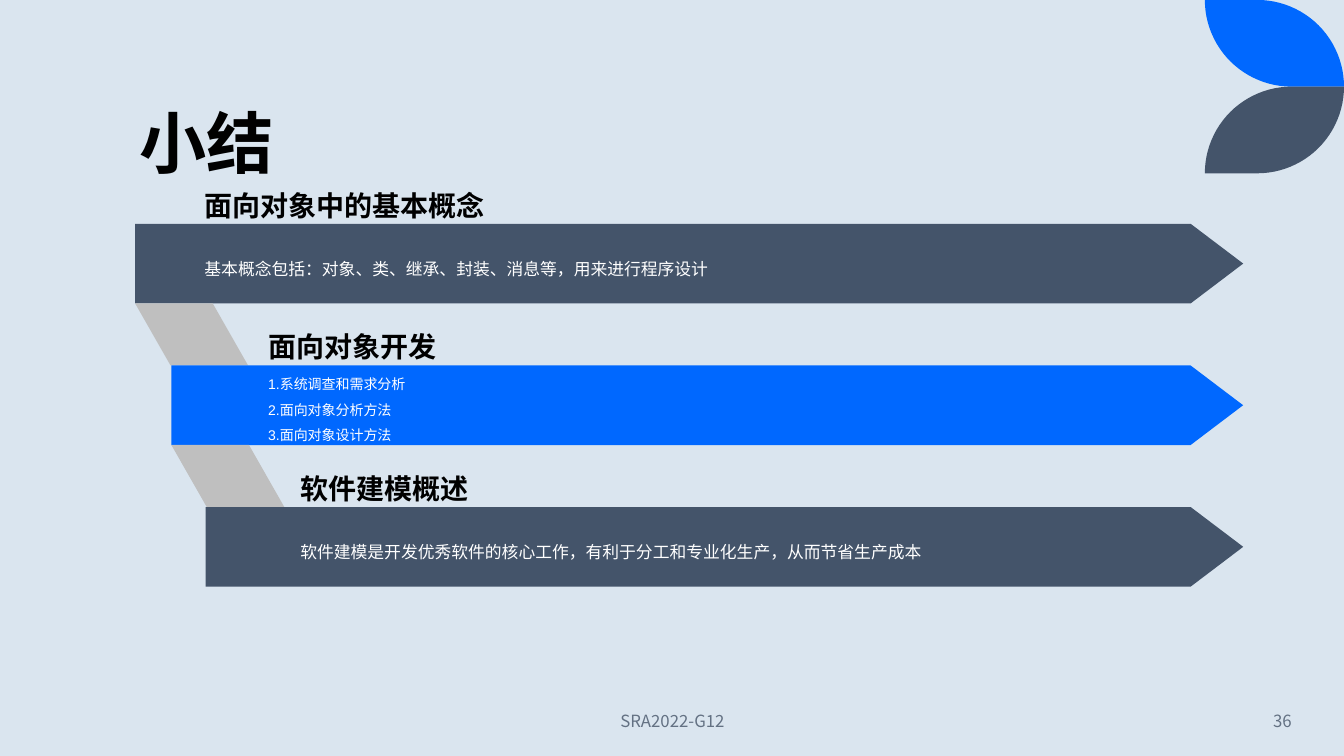
from math import cos, pi, sin
from lxml.etree import SubElement
from pptx import Presentation
from pptx.dml.color import RGBColor
from pptx.enum.shapes import MSO_SHAPE
from pptx.enum.text import MSO_ANCHOR, MSO_AUTO_SIZE, PP_ALIGN
from pptx.oxml.ns import qn
from pptx.util import Inches, Pt

THEME = {
    "background": "DAE5EF", "blue": "0068FF", "slate": "44546A",
    "gray": "BFBFBF", "black": "000000", "white": "FFFFFF", "muted": "637183",
    "latin": "Arial", "chinese": "Noto Sans CJK SC",
    "title": 48, "heading": 20, "text": 12, "list": 10,
}


def write_text(shape, box, lines, size, color, font="latin", bold=False,
               align=PP_ALIGN.LEFT, anchor=MSO_ANCHOR.MIDDLE, spacing=1.0, wrap=True):
    shape.left, shape.top, shape.width, shape.height = map(Inches, box)
    frame = shape.text_frame
    frame.text = "\n".join(lines)
    frame.auto_size = MSO_AUTO_SIZE.NONE
    frame.word_wrap = wrap
    frame.vertical_anchor = anchor
    for paragraph in frame.paragraphs:
        paragraph.alignment = align
        paragraph.line_spacing = spacing
        paragraph.space_before = Pt(0)
        paragraph.font.size = Pt(THEME[size])
        paragraph.font.bold = bold
        paragraph.font.color.rgb = RGBColor.from_string(THEME[color])
        paragraph.font.name = THEME[font]
        defaults = paragraph._p.get_or_add_pPr().find(qn("a:defRPr"))
        SubElement(defaults, qn("a:ea"), typeface=THEME["chinese"])


def paint(shape, color):
    shape.shadow.inherit = False
    shape.fill.solid()
    shape.fill.fore_color.rgb = RGBColor.from_string(THEME[color])
    shape.line.fill.background()


presentation = Presentation()
presentation.slide_width = Inches(13.33)
presentation.slide_height = Inches(7.5)
slide = presentation.slides.add_slide(presentation.slide_layouts[1])
shapes = slide.shapes
slide.background.fill.solid()
slide.background.fill.fore_color.rgb = RGBColor.from_string(THEME["background"])

LEAF_LEFT, LEAF_WIDTH, RADIUS = 11.95, 1.38, 0.86
angles = [step * pi / 48 for step in range(25)]
upper_arc = [(LEAF_WIDTH - RADIUS + RADIUS * sin(a), RADIUS - RADIUS * cos(a)) for a in angles]
lower_arc = [(RADIUS - RADIUS * sin(a), RADIUS * cos(a)) for a in angles]
leaf = [(0, 0)] + upper_arc + lower_arc
for color, edge, direction in (("blue", 0, 1), ("slate", 2 * RADIUS, -1)):
    points = [(Inches(LEAF_LEFT + x), Inches(edge + direction * y)) for x, y in leaf]
    builder = shapes.build_freeform(*points[0])
    builder.add_line_segments(points[1:], close=True)
    paint(builder.convert_to_shape(), color)

write_text(shapes.title, (1.28, 0.42, 10.69, 1.45), ["小结"], "title", "black",
           "chinese", True, anchor=MSO_ANCHOR.BOTTOM, spacing=0.9)

TOP, STEP, BAR_HEIGHT, BAR_RIGHT = 2.22, 1.405, 0.79, 12.33
TEXT_RIGHT = 11.76
sections = [
    (1.34, 1.93, "slate", "面向对象中的基本概念",
     ["基本概念包括：对象、类、继承、封装、消息等，用来进行程序设计"]),
    (1.70, 2.56, "blue", "面向对象开发",
     ["1.系统调查和需求分析", "2.面向对象分析方法", "3.面向对象设计方法"]),
    (2.04, 2.88, "slate", "软件建模概述",
     ["软件建模是开发优秀软件的核心工作，有利于分工和专业化生产，从而节省生产成本"]),
]
for index, (left, text_left, color, heading, lines) in enumerate(sections):
    top = TOP + index * STEP
    bar = shapes.add_shape(MSO_SHAPE.PENTAGON, Inches(left), Inches(top),
                           Inches(BAR_RIGHT - left), Inches(BAR_HEIGHT))
    bar.adjustments[0] = 0.66
    paint(bar, color)

    if index < len(sections) - 1:
        fold = shapes.add_shape(MSO_SHAPE.PARALLELOGRAM, Inches(left), Inches(top + BAR_HEIGHT),
                                Inches(1.12), Inches(STEP - BAR_HEIGHT))
        fold.adjustments[0] = 0.57
        fold.element.spPr.find(qn("a:xfrm")).set("flipH", "1")
        paint(fold, "gray")

    is_list = len(lines) > 1
    if is_list:
        content = slide.placeholders[1]
        content.element.getparent().append(content.element)
    else:
        content = shapes.add_textbox(0, 0, 0, 0)
    write_text(content, (text_left, top, TEXT_RIGHT - text_left, BAR_HEIGHT), lines,
               "list" if is_list else "text", "white", spacing=1.5)
    if is_list:
        for paragraph in content.text_frame.paragraphs:
            properties = paragraph._p.get_or_add_pPr()
            properties.set("marL", "0")
            properties.set("indent", "0")
            properties.find(qn("a:defRPr")).addprevious(
                SubElement(properties, qn("a:buNone")))

    write_text(shapes.add_textbox(0, 0, 0, 0), (text_left, top - 0.39, 2.55, 0.41),
               [heading], "heading", "black", bold=True, wrap=False)

for box, label, align in (
    ((4.42, 6.95, 4.5, 0.4), "SRA2022-G12", PP_ALIGN.CENTER),
    ((11.1, 6.95, 1.81, 0.4), "36", PP_ALIGN.RIGHT),
):
    write_text(shapes.add_textbox(0, 0, 0, 0), box, [label], "text", "muted", "chinese", align=align)

presentation.save("out.pptx")
